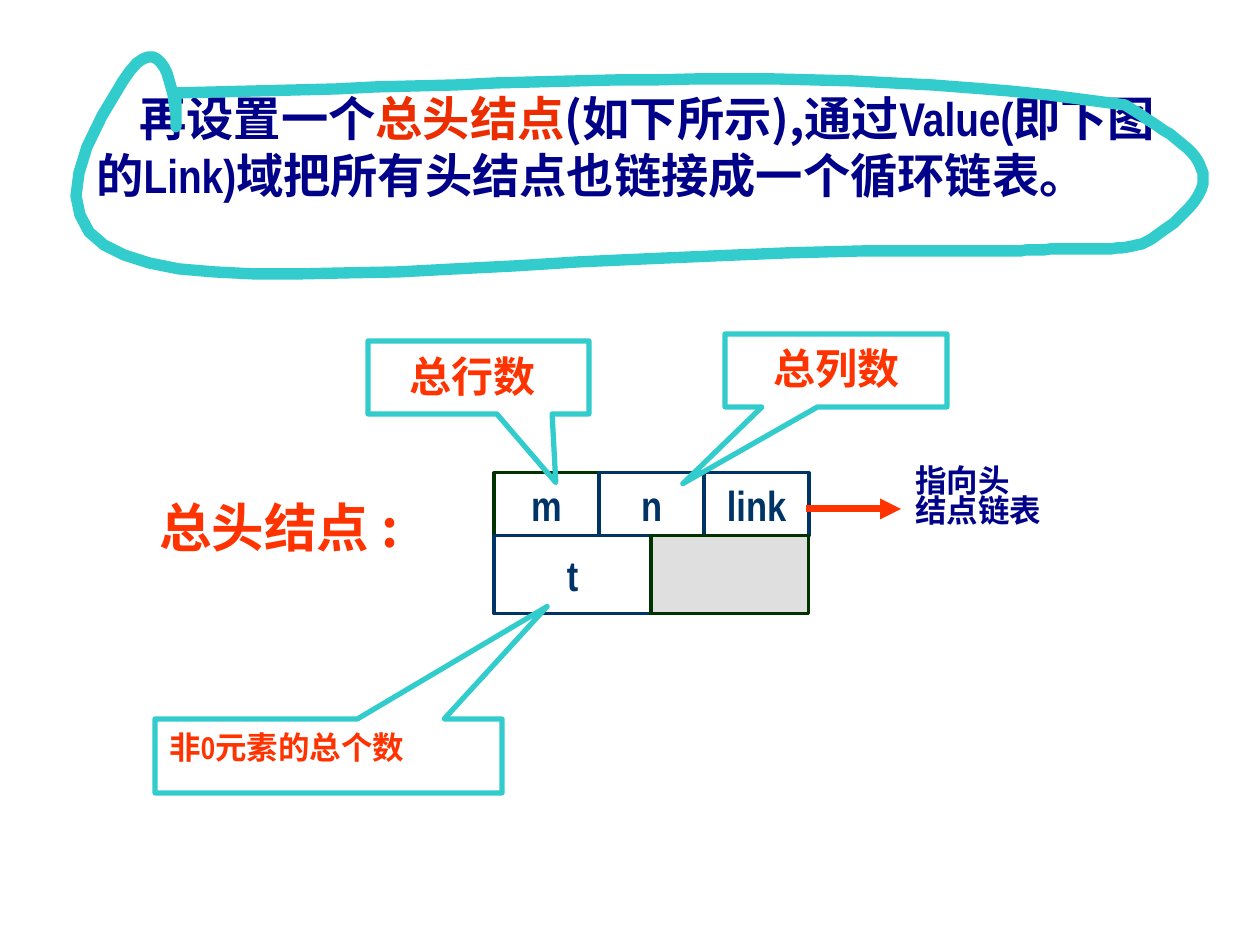
import lxml.etree
import pptx
import pptx.dml.color
import pptx.enum.shapes
import pptx.enum.text
import pptx.oxml.ns
import pptx.util

RGBColor = pptx.dml.color.RGBColor
RED = RGBColor(0xFF, 0x33, 0x00)
TITLE_RED = RGBColor(0xEC, 0x2D, 0x00)
NAVY = RGBColor(0x00, 0x00, 0x88)
BLUE = RGBColor(0x00, 0x33, 0x66)
GREEN = RGBColor(0x00, 0x33, 0x00)
TEAL = RGBColor(0x33, 0xCC, 0xCC)
GRAY = RGBColor(0xC0, 0xC0, 0xC0)
CJK = "Noto Sans CJK SC"
LATIN = "Arial Narrow"
PX = 914400 / 126
qn = pptx.oxml.ns.qn
SHAPES = pptx.enum.shapes.MSO_SHAPE

deck = pptx.Presentation()
deck.slide_width = round(1260 * PX)
deck.slide_height = round(945 * PX)
page = deck.slides.add_slide(deck.slide_layouts[6])


def write(frame, lines, size, shadow=False):
    for number, line in enumerate(lines):
        para = frame.paragraphs[0] if number == 0 else frame.add_paragraph()
        for text, color, face in line:
            span = para.add_run()
            span.text = text
            values = {"size": pptx.util.Pt(size), "bold": True, "name": face}
            for key, value in values.items():
                setattr(span.font, key, value)
            span.font.color.rgb = color
            properties = span.font._element
            latin = properties.find(qn("a:latin"))
            asian = properties.makeelement(qn("a:ea"), {"typeface": CJK})
            latin.addnext(asian)
            if shadow:
                effects = properties.makeelement(qn("a:effectLst"), {})
                latin.addprevious(effects)
                outer = lxml.etree.SubElement(
                    effects, qn("a:outerShdw"), dist="25400", dir="2700000")
                lxml.etree.SubElement(outer, qn("a:srgbClr"), val="000000")


def outline(shape, color, width):
    shape.shadow.inherit = False
    shape.fill.background()
    shape.line.color.rgb = color
    shape.line.width = pptx.util.Pt(width)


cells = [
    (494, 473, 105, 63, "m", GREEN),
    (599, 473, 105, 63, "n", BLUE),
    (704, 473, 105, 63, "link", BLUE),
    (494, 536, 157, 78, "t", BLUE),
    (651, 536, 158, 78, "", GREEN),
]
for left, top, width, height, name, color in cells:
    cell = page.shapes.add_shape(
        SHAPES.RECTANGLE, *[round(v * PX) for v in (left, top, width, height)])
    outline(cell, color, 1.75)
    if name:
        frame = cell.text_frame
        frame.word_wrap = False
        frame.vertical_anchor = pptx.enum.text.MSO_ANCHOR.MIDDLE
        write(frame, [[(name, BLUE, LATIN)]], 24)
        frame.paragraphs[0].alignment = pptx.enum.text.PP_ALIGN.CENTER
    else:
        cell.fill.solid()
        cell.fill.fore_color.rgb = GRAY
        tint = cell._element.spPr.find(qn("a:solidFill"))[0]
        lxml.etree.SubElement(tint, qn("a:alpha"), val="50000")

callouts = [
    (155, 719, 347, 74, 0.63, -2.02),
    (725, 334, 222, 73, -0.69, 1.55),
    (368, 341, 221, 73, 0.35, 1.44),
]
for left, top, width, height, tip_x, tip_y in callouts:
    callout = page.shapes.add_shape(
        SHAPES.RECTANGULAR_CALLOUT,
        *[round(v * PX) for v in (left, top, width, height)])
    callout.adjustments[0] = tip_x
    callout.adjustments[1] = tip_y
    outline(callout, TEAL, 3)

title = [
    ("再设置一个", NAVY, CJK),
    ("总头结点", TITLE_RED, CJK),
    ("(如下所示),通过", NAVY, CJK),
    ("Value(即下图的Link)", NAVY, LATIN),
    ("域把所有头结点也链接成一个循环链表。", NAVY, CJK),
]
count = [("非", RED, CJK), ("0", RED, LATIN), ("元素的总个数", RED, CJK)]
pointer = [[("指向头", NAVY, CJK)], [("结点链表", NAVY, CJK)]]
texts = [
    (84, 83, 1092, 127, [title], 27, False, 43, 1),
    (147, 489, 268, 77, [[("总头结点 :", RED, CJK)]], 30, True, 0, 1),
    (903, 462, 231, 74, pointer, 18, False, 0, 0.8),
    (157, 722, 383, 50, [count], 18, True, 0, 1),
    (761, 336, 236, 64, [[("总列数", RED, CJK)]], 24, False, 0, 1),
    (397, 344, 184, 64, [[("总行数", RED, CJK)]], 24, False, 0, 1),
]
for left, top, width, height, lines, size, shadow, indent, spacing in texts:
    box = page.shapes.add_textbox(
        *[round(v * PX) for v in (left, top, width, height)])
    box.text_frame.word_wrap = True
    write(box.text_frame, lines, size, shadow)
    for para in box.text_frame.paragraphs:
        para.line_spacing = spacing
        if indent:
            para._p.get_or_add_pPr().set("indent", str(round(indent * PX)))

start = (176, 93)
curves = [
    ((495, 87), (819, 59), (1125, 105)),
    ((1188, 147), (1250, 173), (1153, 238)),
    ((1128, 256), (1063, 246), (1021, 251)),
    ((369, 242), (-73, 378), (123, 81)),
    ((185, -14), (176, 208), start),
]
STEPS = 24
points = []
begin = start
for first, second, end in curves:
    for step in range(1, STEPS + 1):
        t = step / STEPS
        points.append(tuple(
            a * (1 - t) ** 3 + 3 * b * t * (1 - t) ** 2
            + 3 * c * t ** 2 * (1 - t) + d * t ** 3
            for a, b, c, d in zip(begin, first, second, end)))
    begin = end
builder = page.shapes.build_freeform(*start, scale=PX)
builder.add_line_segments(points, close=True)
outline(builder.convert_to_shape(), TEAL, 6.5)

arrow = page.shapes.add_connector(
    pptx.enum.shapes.MSO_CONNECTOR.STRAIGHT,
    *[round(v * PX) for v in (806, 509, 901, 509)])
arrow.line.color.rgb = RED
arrow.line.width = pptx.util.Pt(4)
lxml.etree.SubElement(arrow.line._get_or_add_ln(), qn("a:tailEnd"), type="triangle")
lxml.etree.SubElement(arrow._element.spPr, qn("a:effectLst"))

deck.save("out.pptx")
